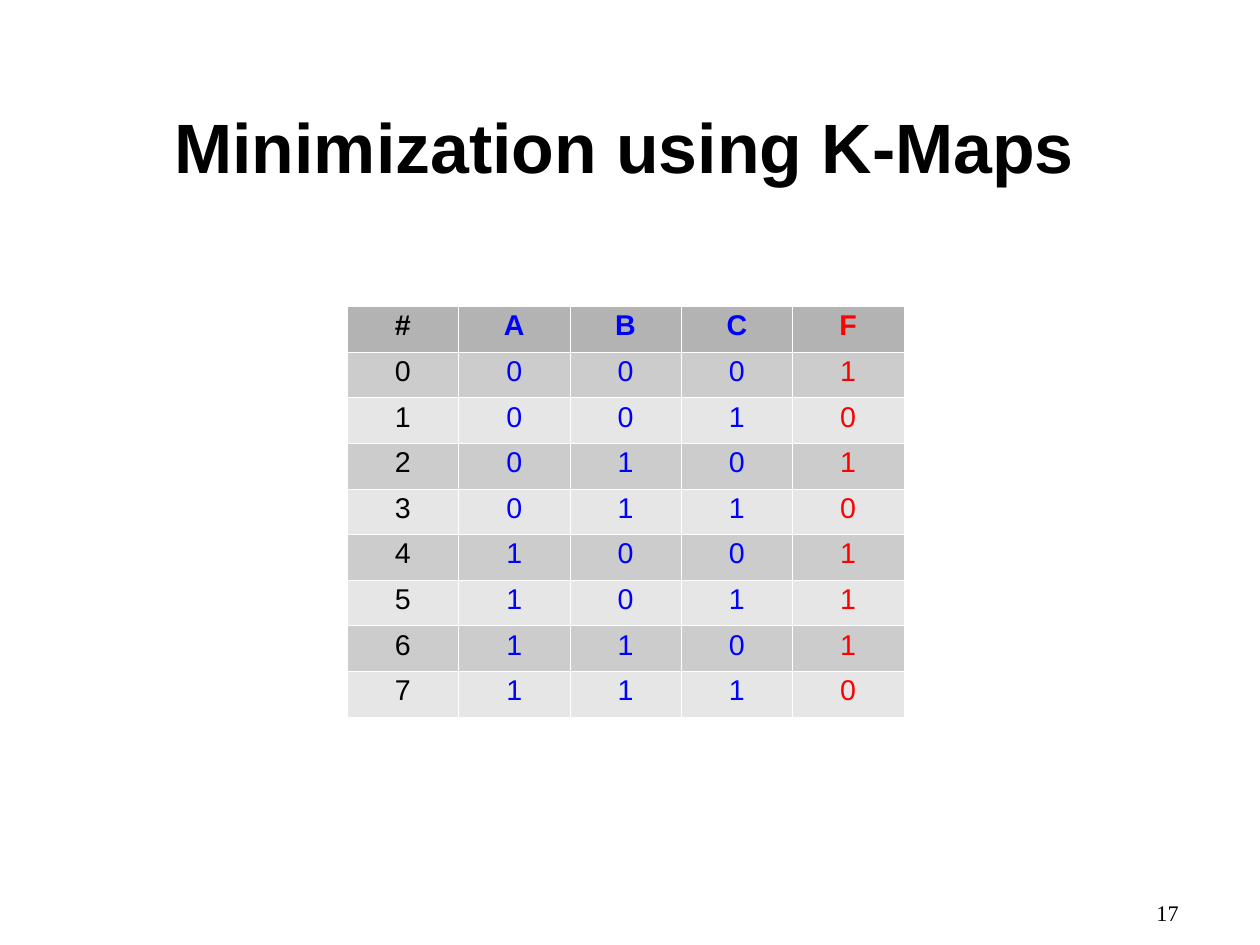
from lxml.etree import fromstring
from pptx import Presentation
from pptx.dml.color import RGBColor
from pptx.enum.text import MSO_ANCHOR, PP_ALIGN
from pptx.util import Pt

# Content
TITLE = "Minimization using K-Maps"
PAGE_NUMBER = "17"
HEADER = ["#", "A", "B", "C", "F"]
OUTPUTS = "10101110"  # F for inputs 0 to 7
COLUMN_COLORS = ["000000", "0000FF", "0000FF", "0000FF", "FF0000"]
HEADER_FILL = "B3B3B3"
BAND_FILLS = ["CCCCCC", "E6E6E6"]

# Layout in points
SLIDE_WIDTH, SLIDE_HEIGHT = 793.7, 595.28
TABLE_LEFT, TABLE_TOP = 218.7, 193
COLUMN_WIDTH, ROW_HEIGHT = 70.15, 28.73
BORDER_WIDTH = 0.06

DRAWING = "http://schemas.openxmlformats.org/drawingml/2006/main"


def color(value):
    return RGBColor.from_string(value)


def set_text(text_frame, text, font, size, text_color, align, spacing, bold=False):
    text_frame.text = text
    paragraph = text_frame.paragraphs[0]
    paragraph.alignment = align
    paragraph.line_spacing = spacing
    paragraph.space_before = Pt(0)
    run = paragraph.runs[0]
    run.font.name = font
    run.font.size = Pt(size)
    run.font.bold = bold
    run.font.color.rgb = color(text_color)


def set_margins(text_frame, top=0):
    text_frame.margin_left = text_frame.margin_right = Pt(0)
    text_frame.margin_top, text_frame.margin_bottom = Pt(top), Pt(0)
    text_frame.word_wrap = True


def add_borders(cell):
    # Border elements come before the fill in the cell properties
    properties = cell._tc.get_or_add_tcPr()
    for index, side in enumerate("LRTB"):
        properties.insert(index, fromstring(
            f'<a:ln{side} xmlns:a="{DRAWING}" w="{Pt(BORDER_WIDTH)}">'
            f'<a:solidFill><a:srgbClr val="FFFFFF"/></a:solidFill></a:ln{side}>'))


presentation = Presentation()
presentation.slide_width = Pt(SLIDE_WIDTH)
presentation.slide_height = Pt(SLIDE_HEIGHT)
slide = presentation.slides.add_slide(presentation.slide_layouts[5])

# Title
title = slide.shapes.title
title.left, title.top, title.width, title.height = Pt(36.6), Pt(46.8), Pt(714.25), Pt(92.15)
set_margins(title.text_frame, top=2.9)
title.text_frame.vertical_anchor = MSO_ANCHOR.MIDDLE
set_text(title.text_frame, TITLE, "Arial", 44, "000000", PP_ALIGN.CENTER, 0.93, bold=True)

# Truth table: each row holds its number, the three input bits and F
rows = [HEADER] + [[str(number), *f"{number:03b}", output]
                   for number, output in enumerate(OUTPUTS)]
table = slide.shapes.add_table(
    len(rows), len(HEADER), Pt(TABLE_LEFT), Pt(TABLE_TOP),
    Pt(COLUMN_WIDTH * len(HEADER)), Pt(ROW_HEIGHT * len(rows))).table
table.first_row = table.horz_banding = False
for column in table.columns:
    column.width = Pt(COLUMN_WIDTH)
for row_index, values in enumerate(rows):
    table.rows[row_index].height = Pt(ROW_HEIGHT)
    is_header = row_index == 0
    fill = HEADER_FILL if is_header else BAND_FILLS[(row_index - 1) % 2]
    for column_index, value in enumerate(values):
        cell = table.cell(row_index, column_index)
        cell.fill.solid()
        cell.fill.fore_color.rgb = color(fill)
        add_borders(cell)
        set_text(cell.text_frame, value, "Arial", 18, COLUMN_COLORS[column_index],
                 PP_ALIGN.CENTER, 0.93, bold=is_header)

# Page number
page_number = slide.shapes.add_textbox(Pt(557.5), Pt(567.8), Pt(185), Pt(41))
set_margins(page_number.text_frame)
set_text(page_number.text_frame, PAGE_NUMBER, "Times New Roman", 14, "000000",
         PP_ALIGN.RIGHT, 0.95)

presentation.save("out.pptx")
